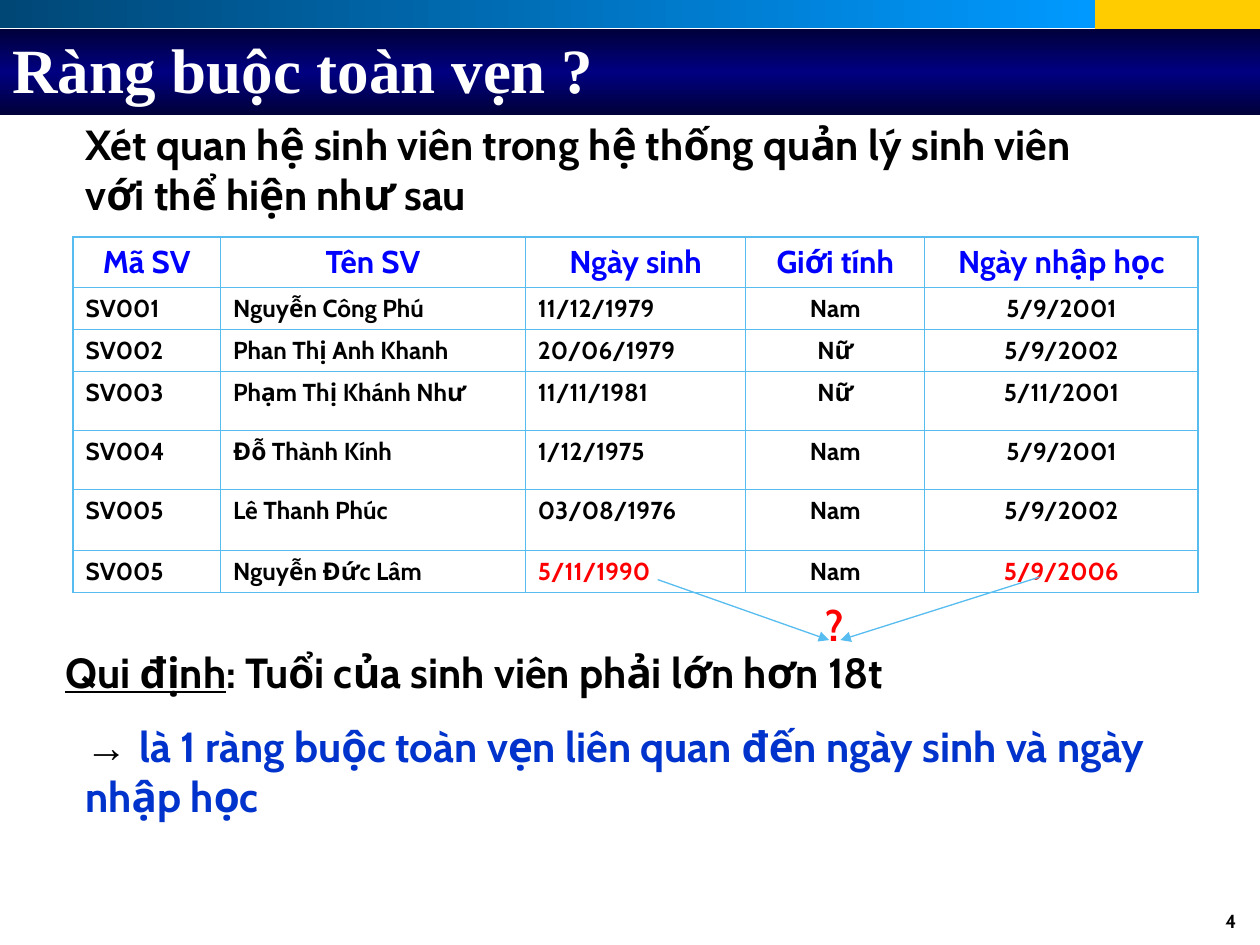
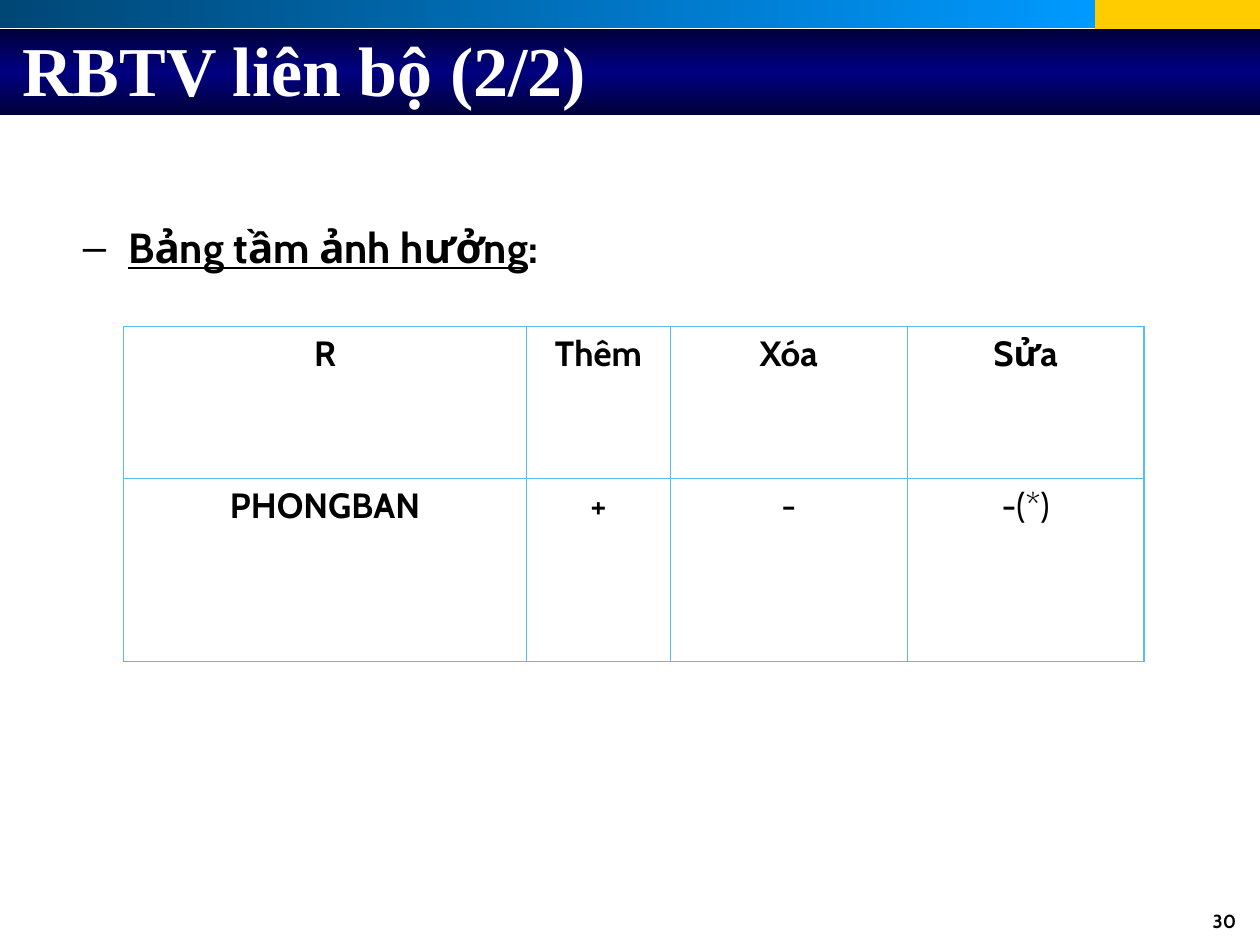
from lxml.etree import SubElement
from pptx import Presentation
from pptx.dml.color import RGBColor
from pptx.enum.shapes import MSO_CONNECTOR, MSO_SHAPE
from pptx.enum.text import MSO_ANCHOR, PP_ALIGN
from pptx.oxml.ns import qn
from pptx.util import Emu, Inches, Pt

BODY_FONT, TITLE_FONT, SYMBOL_FONT = "Cabin", "Times New Roman", "Arial"
BLACK, WHITE, RED, BLUE = "000000", "FFFFFF", "FF0000", "0033CC"
HEADER_BLUE, LINE_BLUE, YELLOW = "0000FF", "57BCEF", "FFCC00"
TOP_GRADIENT = [(0, "004776"), (100, "0099FF")]
TITLE_GRADIENT = [(0, "00003B"), (50, "000080"), (100, "00003B")]
OUTER_LINE, INNER_LINE = 1.08, 0.45

STUDENT_HEADER = ["Mã SV", "Tên SV", "Ngày sinh", "Giới tính", "Ngày nhập học"]
STUDENTS = [
    ["SV001", "Nguyễn Công Phú", "11/12/1979", "Nam", "5/9/2001"],
    ["SV002", "Phan Thị Anh Khanh", "20/06/1979", "Nữ", "5/9/2002"],
    ["SV003", "Phạm Thị Khánh Như", "11/11/1981", "Nữ", "5/11/2001"],
    ["SV004", "Đỗ Thành Kính", "1/12/1975", "Nam", "5/9/2001"],
    ["SV005", "Lê Thanh Phúc", "03/08/1976", "Nam", "5/9/2002"],
    ["SV005", "Nguyễn Đức Lâm", "5/11/1990", "Nam", "5/9/2006"],
]
IMPACTS = [["R", "Thêm", "Xóa", "Sửa"], ["PHONGBAN", "+", "-", "-(*)"]]


def color(value):
    return RGBColor.from_string(value)


def add_run(paragraph, text, size=24, font=BODY_FONT, fill=BLACK, bold=True, underline=False):
    run = paragraph.add_run()
    run.text = text
    run.font.size = Pt(size)
    run.font.name = font
    run.font.bold = bold
    run.font.underline = underline
    run.font.color.rgb = color(fill)


def add_text(slide, box, *runs, align=PP_ALIGN.LEFT, anchor=MSO_ANCHOR.TOP, wrap=True):
    """Add a one-paragraph text box; each run is (text, format)."""
    frame = slide.shapes.add_textbox(*map(Inches, box)).text_frame
    frame.word_wrap = wrap
    frame.vertical_anchor = anchor
    paragraph = frame.paragraphs[0]
    paragraph.alignment = align
    for text, style in runs:
        add_run(paragraph, text, **style)
    return paragraph


def set_indent(paragraph, left, first=0.0, bullet=None):
    properties = paragraph._p.get_or_add_pPr()
    properties.set("marL", str(Inches(left)))
    properties.set("indent", str(Inches(first)))
    if bullet:
        SubElement(properties, qn("a:buFont"), typeface=SYMBOL_FONT)
        SubElement(properties, qn("a:buChar"), char=bullet)


def add_band(slide, box, fill=None, stops=(), angle=0):
    """Add a borderless rectangle with a plain fill or a gradient."""
    shape = slide.shapes.add_shape(MSO_SHAPE.RECTANGLE, *map(Inches, box))
    if fill:
        shape.fill.solid()
        shape.fill.fore_color.rgb = color(fill)
    else:
        gradient = SubElement(shape.element.spPr, qn("a:gradFill"), rotWithShape="1")
        stop_list = SubElement(gradient, qn("a:gsLst"))
        for position, value in stops:
            stop = SubElement(stop_list, qn("a:gs"), pos=str(position * 1000))
            SubElement(stop, qn("a:srgbClr"), val=value)
        SubElement(gradient, qn("a:lin"), ang=str(angle * 60000), scaled="0")
    shape.line.fill.background()
    shape.shadow.inherit = False


def add_arrow(slide, start, end):
    points = map(Inches, (*start, *end))
    arrow = slide.shapes.add_connector(MSO_CONNECTOR.STRAIGHT, *points)
    arrow.line.color.rgb = color(LINE_BLUE)
    arrow.line.width = Pt(0.75)
    SubElement(arrow.line._get_or_add_ln(), qn("a:tailEnd"), type="triangle")
    SubElement(arrow.element.spPr, qn("a:effectLst"))


def set_borders(cell, widths):
    """Draw the left, right, top and bottom lines of a cell."""
    properties = cell._tc.get_or_add_tcPr()
    for side, width in zip("LRTB", widths):
        line = SubElement(properties, qn(f"a:ln{side}"), w=str(Emu(Pt(width))))
        SubElement(SubElement(line, qn("a:solidFill")), qn("a:srgbClr"), val=LINE_BLUE)


def add_grid(slide, left, top, widths, heights, rows, cell_style):
    """Add a table; cell_style(row, column) gives alignment and text format."""
    box = map(Inches, (left, top, sum(widths), sum(heights)))
    table = slide.shapes.add_table(len(heights), len(widths), *box).table
    table.first_row = table.horz_banding = False
    for column, width in zip(table.columns, widths):
        column.width = Inches(width)
    for row, height in zip(table.rows, heights):
        row.height = Inches(height)
    last_row, last_column = len(heights) - 1, len(widths) - 1
    for i, texts in enumerate(rows):
        for j, text in enumerate(texts):
            cell = table.cell(i, j)
            on_edge = (j == 0, j == last_column, i == 0, i == last_row)
            set_borders(cell, [OUTER_LINE if edge else INNER_LINE for edge in on_edge])
            cell.fill.background()
            align, style = cell_style(i, j)
            paragraph = cell.text_frame.paragraphs[0]
            paragraph.alignment = align
            add_run(paragraph, text, **style)


def student_style(row, column):
    if row == 0:
        return PP_ALIGN.CENTER, {"size": 18, "fill": HEADER_BLUE}
    in_conflict = row == len(STUDENTS) and column in (2, 4)
    align = PP_ALIGN.CENTER if column >= 3 else PP_ALIGN.LEFT
    return align, {"size": 14, "fill": RED if in_conflict else BLACK}


def impact_style(row, column):
    return PP_ALIGN.CENTER, {"size": 20, "bold": row == 0 or column == 0}


def add_base_slide(presentation, title, title_box, title_size, number):
    """Add a slide with the shared bands, title and page number."""
    slide = presentation.slides.add_slide(presentation.slide_layouts[6])
    add_band(slide, (8.69, 0, 1.31, 0.28), fill=YELLOW)
    add_band(slide, (0, 0, 8.69, 0.22), stops=TOP_GRADIENT)
    add_band(slide, (0, 0.23, 10, 0.68), stops=TITLE_GRADIENT, angle=90)
    add_text(slide, (7.58, 7.17, 2.33, 0.32), (number, {"size": 10.8}), align=PP_ALIGN.RIGHT)
    title_style = {"size": title_size, "font": TITLE_FONT, "fill": WHITE}
    add_text(slide, title_box, (title, title_style), anchor=MSO_ANCHOR.MIDDLE)
    return slide


def add_constraint_slide(presentation):
    slide = add_base_slide(presentation, "Ràng buộc toàn vẹn ?", (0, 0.17, 9.5, 0.75), 36, "4")
    intro = "Xét quan hệ sinh viên trong hệ thống quản lý sinh viên với thể hiện như sau"
    set_indent(add_text(slide, (0.08, 0.89, 8.92, 0.92), (intro, {})), 0.5)
    add_grid(slide, 0.58, 1.88, [1.17, 2.42, 1.75, 1.42, 2.17],
             [0.4, 0.33, 0.33, 0.47, 0.47, 0.48, 0.33],
             [STUDENT_HEADER, *STUDENTS], student_style)
    add_text(slide, (0.42, 5.08, 8.92, 0.5), ("Qui định", {"underline": True}),
             (": Tuổi của sinh viên phải lớn hơn 18t", {}))
    add_text(slide, (0.58, 5.67, 8.83, 0.9), ("→ ", {"font": SYMBOL_FONT}),
             ("là 1 ràng buộc toàn vẹn liên quan đến ngày sinh và ngày nhập học", {"fill": BLUE}))
    add_arrow(slide, (8.25, 4.58), (6.67, 5.08))
    add_arrow(slide, (5.22, 4.6), (6.58, 5.08))
    add_text(slide, (6.45, 4.71, 0.36, 0.5), ("?", {"fill": RED}), wrap=False)


def add_impact_slide(presentation):
    slide = add_base_slide(presentation, "RBTV liên bộ (2/2)", (0.08, -0.08, 9, 1.25), 40, "30")
    heading = add_text(slide, (0.42, 1.71, 8.04, 0.5),
                       ("Bảng tầm ảnh hưởng", {"underline": True}), (":", {}))
    set_indent(heading, 0.5, -0.36, "–")
    add_grid(slide, 0.98, 2.59, [3.2, 1.14, 1.88, 1.88], [1.21, 1.45], IMPACTS, impact_style)


def main():
    presentation = Presentation()
    presentation.slide_width, presentation.slide_height = Inches(10), Inches(7.5)
    add_constraint_slide(presentation)
    add_impact_slide(presentation)
    presentation.save("out.pptx")


if __name__ == "__main__":
    main()
